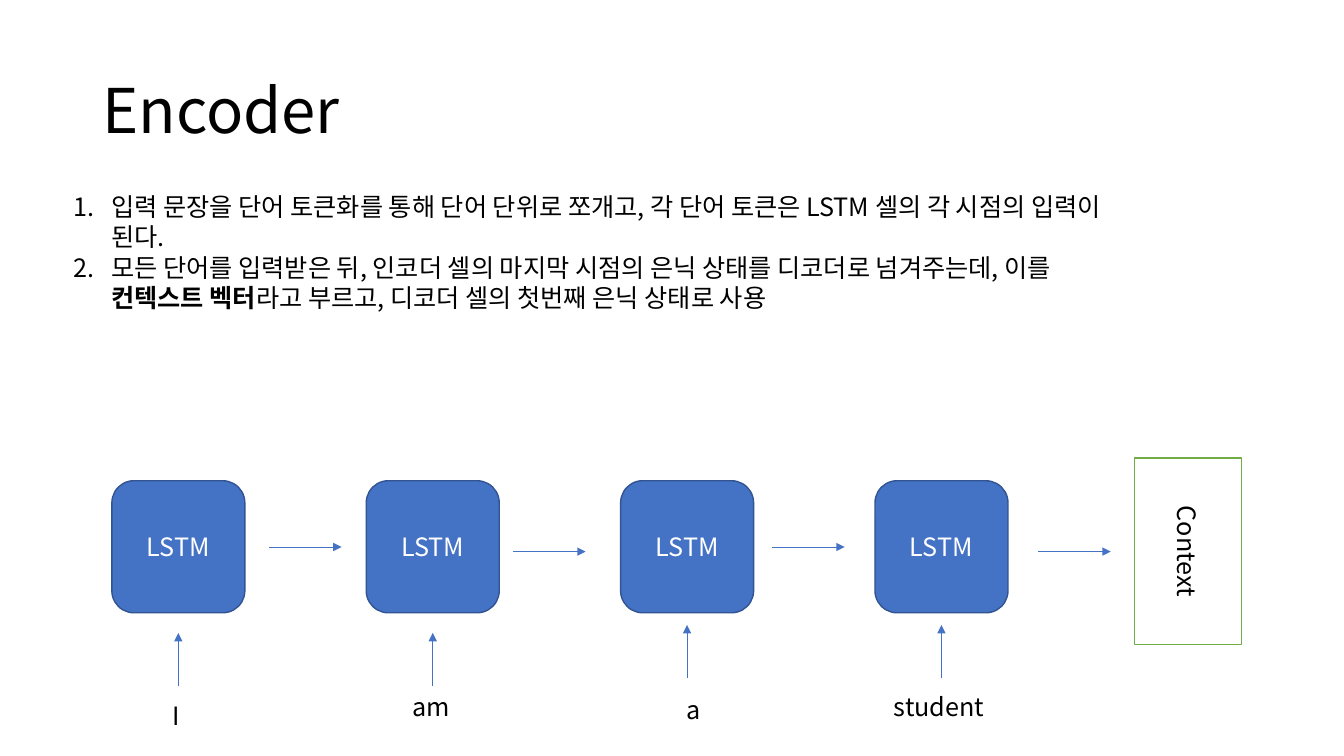
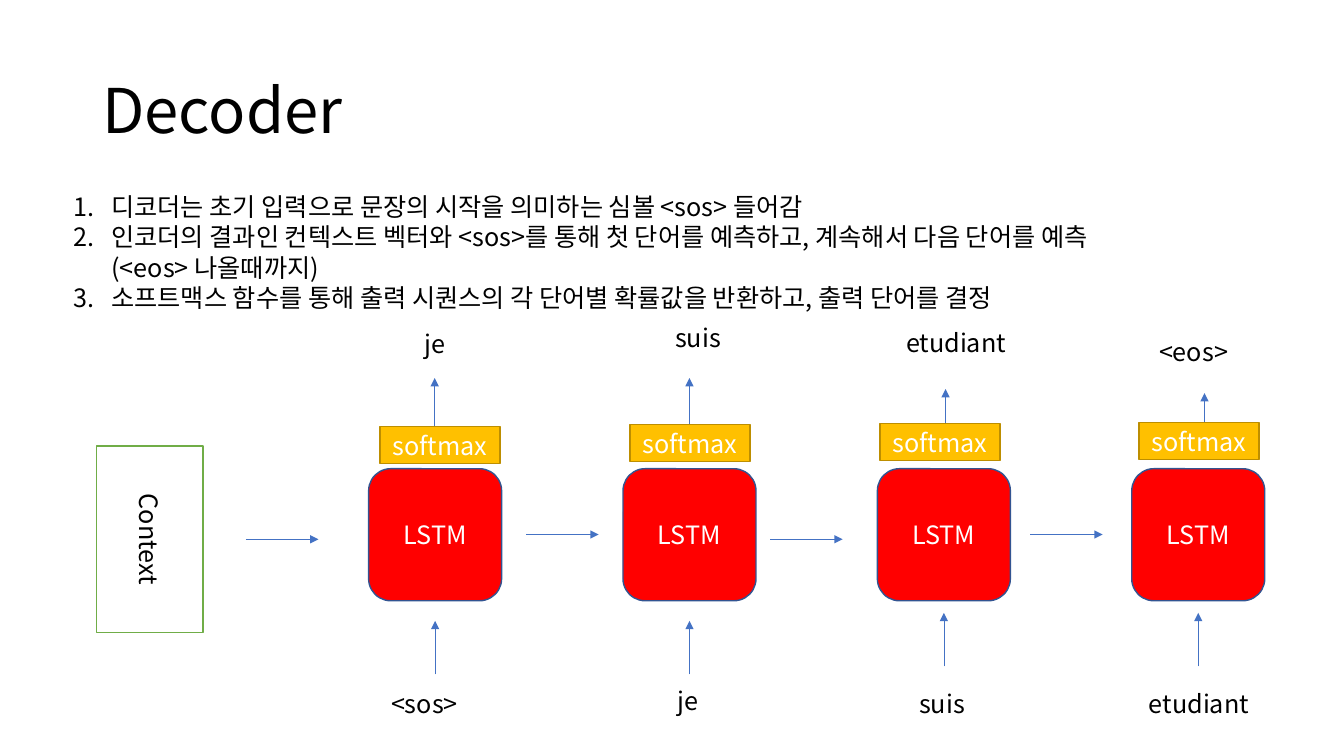
from dataclasses import dataclass

from lxml import etree
from pptx import Presentation
from pptx.dml.color import RGBColor
from pptx.enum.shapes import MSO_CONNECTOR, MSO_SHAPE
from pptx.enum.text import MSO_ANCHOR, MSO_AUTO_SIZE, PP_ALIGN
from pptx.oxml.ns import qn
from pptx.shapes.autoshape import Shape
from pptx.slide import Slide
from pptx.text.text import TextFrame, _Paragraph
from pptx.util import Pt

RECTANGLE = MSO_SHAPE.RECTANGLE
ROUNDED = MSO_SHAPE.ROUNDED_RECTANGLE
STRAIGHT = MSO_CONNECTOR.STRAIGHT
CENTER = PP_ALIGN.CENTER
LEFT = PP_ALIGN.LEFT
MIDDLE = MSO_ANCHOR.MIDDLE
TOP = MSO_ANCHOR.TOP
FIT_SHAPE = MSO_AUTO_SIZE.SHAPE_TO_FIT_TEXT
BLANK_LAYOUT = 6


@dataclass(frozen=True)
class Theme:
    font: str = "Noto Sans CJK KR"
    title_size: float = 44
    text_size: float = 18
    outline_width: float = 1
    arrow_width: float = 0.5
    black: str = "000000"
    white: str = "FFFFFF"
    blue: str = "4472C4"
    blue_edge: str = "325491"
    red: str = "FF0000"
    green: str = "70AD47"
    gold: str = "FFC000"
    gold_edge: str = "BD8E00"


THEME = Theme()


@dataclass(frozen=True)
class Box:
    left: float
    top: float
    width: float
    height: float


@dataclass(frozen=True)
class Run:
    text: str
    bold: bool = False


@dataclass(frozen=True)
class Label:
    text: str
    left: float
    top: float


@dataclass(frozen=True)
class Output:
    word: Label
    softmax_left: float
    softmax_top: float
    arrow_x: float
    arrow_start: float


@dataclass(frozen=True)
class Network:
    title: str
    points: list[list[Run]]
    cell_fill: str
    first_cell_left: float
    cell_top: float
    context_left: float
    inputs: list[Label]
    step_arrows: list[tuple[float, float]]  # left and y
    outputs: list[Output]


# Shared geometry, in points
SLIDE_WIDTH, SLIDE_HEIGHT = 960, 540
TITLE_BOX = Box(66, 28.8, 828, 104.4)
POINTS_BOX = Box(45.4, 133.2, 774, 94.3)
POINT_INDENT = 27
CELL_WIDTH, CELL_HEIGHT, CELL_PITCH = 95, 94.3, 181.7
CONTEXT_WIDTH, CONTEXT_HEIGHT, CONTEXT_DROP = 133.2, 76.3, 12.3
SOFTMAX_WIDTH, SOFTMAX_HEIGHT = 85.7, 26.6
WORD_WIDTH, WORD_HEIGHT = 95, 29
UP_LENGTH, STEP_LENGTH = 38.2, 51.8
INPUT_GAPS = (14.4, 14.4, 8.7, 8.7)

ENCODER = Network(
    title="Encoder",
    points=[
        [Run("입력 문장을 단어 토큰화를 통해 단어 단위로 쪼개고, 각 단어 토큰은 LSTM 셀의 각 시점의 입력이 된다.")],
        [
            Run("모든 단어를 입력받은 뒤, 인코더 셀의 마지막 시점의 은닉 상태를 디코더로 넘겨주는데, 이를 "),
            Run("컨텍스트 벡터", bold=True),
            Run("라고 부르고, 디코더 셀의 첫번째 은닉 상태로 사용"),
        ],
    ],
    cell_fill=THEME.blue,
    first_cell_left=79.9,
    cell_top=343.4,
    context_left=781.9,
    inputs=[
        Label("I", 115.9, 496.8),
        Label("am", 287.3, 490.3),
        Label("a", 483.1, 492.5),
        Label("student", 631.4, 490.3),
    ],
    step_arrows=[(192.2, 390.7), (366.5, 394), (551.5, 390.7), (741.6, 394)],
    outputs=[],
)

DECODER = Network(
    title="Decoder",
    points=[
        [Run("디코더는 초기 입력으로 문장의 시작을 의미하는 심볼 <sos> 들어감")],
        [Run("인코더의 결과인 컨텍스트 벡터와 <sos>를 통해 첫 단어를 예측하고, 계속해서 다음 단어를 예측 (<eos> 나올때까지)")],
        [Run("소프트맥스 함수를 통해 출력 시퀀스의 각 단어별 확률값을 반환하고, 출력 단어를 결정")],
    ],
    cell_fill=THEME.red,
    first_cell_left=263.3,
    cell_top=334.8,
    context_left=40.3,
    inputs=[
        Label("<sos>", 272.2, 488.2),
        Label("je", 476.6, 486),
        Label("suis", 649.4, 488.2),
        Label("etudiant", 813.6, 488.2),
    ],
    step_arrows=[(175.7, 385.2), (375.8, 381.8), (550.1, 385.2), (735.8, 381.8)],
    outputs=[
        Output(Label("je", 295.9, 231.1), 271.4, 304.6, 310.5, 308.2),
        Output(Label("suis", 475.2, 226.8), 450, 303.1, 492.5, 308.2),
        Output(Label("etudiant", 640.1, 230.4), 628.6, 302.4, 675.4, 316.1),
        Output(Label("<eos>", 820.8, 236.9), 813.6, 301.7, 860.4, 319),
    ],
)


def color(value: str) -> RGBColor:
    return RGBColor.from_string(value)


def add_run(paragraph: _Paragraph, content: Run, size: float, text_color: str) -> None:
    run = paragraph.add_run()
    run.text = content.text
    run.font.name = THEME.font
    run.font.size = Pt(size)
    run.font.bold = content.bold
    run.font.color.rgb = color(text_color)
    # Korean text takes its font from the East Asian slot
    latin = run.font._element.find(qn("a:latin"))
    east_asian = etree.Element(qn("a:ea"), typeface=THEME.font)
    latin.addnext(east_asian)


def add_text_box(slide: Slide, box: Box) -> TextFrame:
    shape = slide.shapes.add_textbox(
        Pt(box.left), Pt(box.top), Pt(box.width), Pt(box.height)
    )
    frame = shape.text_frame
    frame.word_wrap = True
    frame.vertical_anchor = TOP
    frame.auto_size = FIT_SHAPE
    return frame


def add_title(slide: Slide, text: str) -> None:
    frame = add_text_box(slide, TITLE_BOX)
    frame.auto_size = MSO_AUTO_SIZE.NONE
    frame.vertical_anchor = MIDDLE
    paragraph = frame.paragraphs[0]
    paragraph.line_spacing = 0.9
    add_run(paragraph, Run(text), THEME.title_size, THEME.black)


def add_points(slide: Slide, points: list[list[Run]]) -> None:
    frame = add_text_box(slide, POINTS_BOX)
    for index, runs in enumerate(points):
        paragraph = frame.add_paragraph() if index else frame.paragraphs[0]
        paragraph.alignment = LEFT
        properties = paragraph._p.get_or_add_pPr()
        properties.set("marL", str(Pt(POINT_INDENT)))
        properties.set("indent", str(-Pt(POINT_INDENT)))
        etree.SubElement(properties, qn("a:buFont"), typeface="+mj-lt")
        etree.SubElement(properties, qn("a:buAutoNum"), type="arabicPeriod")
        for content in runs:
            add_run(paragraph, content, THEME.text_size, THEME.black)


def add_word(slide: Slide, label: Label) -> None:
    box = Box(label.left, label.top, WORD_WIDTH, WORD_HEIGHT)
    paragraph = add_text_box(slide, box).paragraphs[0]
    add_run(paragraph, Run(label.text), THEME.text_size, THEME.black)


def add_block(
    slide: Slide,
    kind: MSO_SHAPE,
    box: Box,
    text: str,
    fill: str,
    edge: str,
    text_color: str = THEME.white,
) -> Shape:
    shape = slide.shapes.add_shape(
        kind, Pt(box.left), Pt(box.top), Pt(box.width), Pt(box.height)
    )
    shape.shadow.inherit = False
    shape.fill.solid()
    shape.fill.fore_color.rgb = color(fill)
    shape.line.color.rgb = color(edge)
    shape.line.width = Pt(THEME.outline_width)
    shape.text_frame.word_wrap = True
    shape.text_frame.vertical_anchor = MIDDLE
    paragraph = shape.text_frame.paragraphs[0]
    paragraph.alignment = CENTER
    add_run(paragraph, Run(text), THEME.text_size, text_color)
    return shape


def add_arrow(
    slide: Slide, start_x: float, start_y: float, end_x: float, end_y: float
) -> None:
    connector = slide.shapes.add_connector(
        STRAIGHT, Pt(start_x), Pt(start_y), Pt(end_x), Pt(end_y)
    )
    connector.line.color.rgb = color(THEME.blue)
    connector.line.width = Pt(THEME.arrow_width)
    etree.SubElement(connector.line._get_or_add_ln(), qn("a:tailEnd"), type="triangle")
    etree.SubElement(connector._element.spPr, qn("a:effectLst"))


def add_up_arrow(slide: Slide, x: float, start_y: float) -> None:
    add_arrow(slide, x, start_y, x, start_y - UP_LENGTH)


def draw_network(slide: Slide, network: Network) -> None:
    add_title(slide, network.title)
    add_points(slide, network.points)

    # Cells with their input words
    for index, (word, gap) in enumerate(zip(network.inputs, INPUT_GAPS)):
        left = network.first_cell_left + index * CELL_PITCH
        cell = Box(left, network.cell_top, CELL_WIDTH, CELL_HEIGHT)
        add_block(slide, ROUNDED, cell, "LSTM", network.cell_fill, THEME.blue_edge)
        add_word(slide, word)
        arrow_start = network.cell_top + CELL_HEIGHT + gap + UP_LENGTH
        add_up_arrow(slide, left + CELL_WIDTH / 2, arrow_start)

    # Steps from one state to the next
    for left, y in network.step_arrows:
        add_arrow(slide, left, y, left + STEP_LENGTH, y)

    # Context vector, turned on its side
    context_top = network.cell_top + CONTEXT_DROP
    context_box = Box(network.context_left, context_top, CONTEXT_WIDTH, CONTEXT_HEIGHT)
    context = add_block(
        slide, RECTANGLE, context_box, "Context", THEME.white, THEME.green, THEME.black
    )
    context.rotation = 90

    # Predicted words above the softmax blocks
    for output in network.outputs:
        add_up_arrow(slide, output.arrow_x, output.arrow_start)
        add_word(slide, output.word)
        softmax = Box(
            output.softmax_left, output.softmax_top, SOFTMAX_WIDTH, SOFTMAX_HEIGHT
        )
        add_block(slide, RECTANGLE, softmax, "softmax", THEME.gold, THEME.gold_edge)


def main() -> None:
    presentation = Presentation()
    presentation.slide_width = Pt(SLIDE_WIDTH)
    presentation.slide_height = Pt(SLIDE_HEIGHT)
    for network in (ENCODER, DECODER):
        slide = presentation.slides.add_slide(presentation.slide_layouts[BLANK_LAYOUT])
        draw_network(slide, network)
    presentation.save("out.pptx")


if __name__ == "__main__":
    main()
